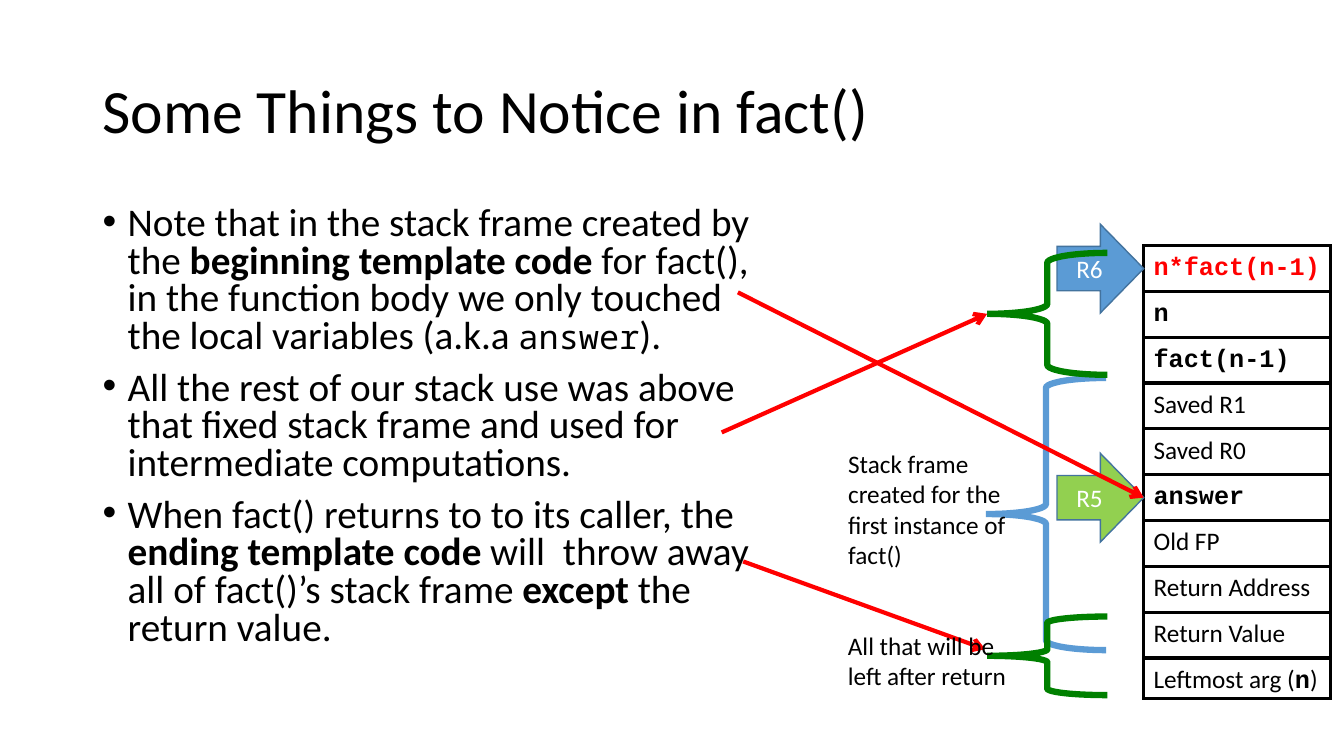
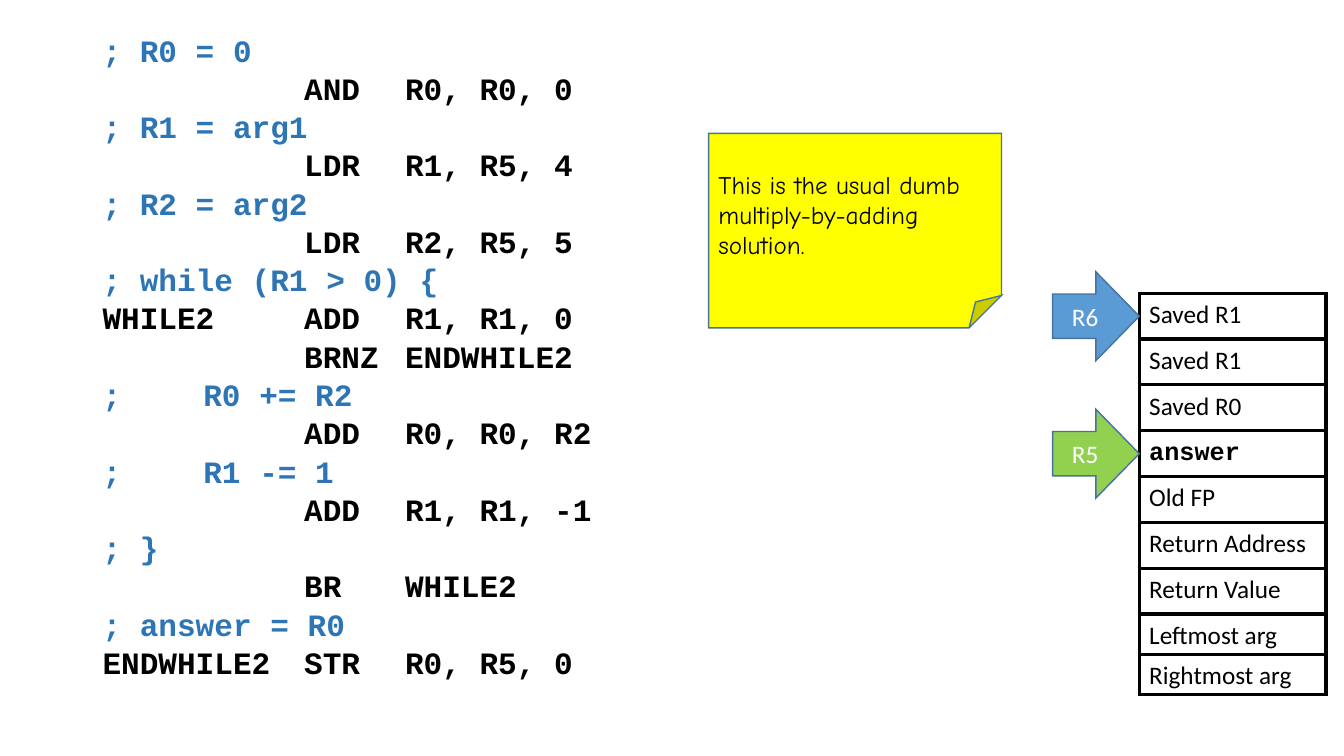
from lxml.etree import SubElement
from pptx import Presentation
from pptx.dml.color import RGBColor
from pptx.enum.shapes import MSO_CONNECTOR as Link, MSO_SHAPE as Preset
from pptx.enum.text import MSO_ANCHOR as Anchor, MSO_AUTO_SIZE as AutoSize, PP_ALIGN as Align
from pptx.oxml.ns import qn
from pptx.util import Emu, Inches, Pt

WIDTH, HEIGHT = Inches(13.33), Inches(7.5)
BLACK, WHITE, RED, GREEN = "000000", "FFFFFF", "FF0000", "008000"
BLUE, LIME, YELLOW = "5B9BD5", "92D050", "FFFF00"
COMMENT, OUTLINE = "2E75B6", "43739E"
SANS, MONO, CODE, HAND = "Calibri", "Courier New", "Noto Sans Mono", "Comic Neue"

TITLE_BOX = (6.88, 5.33, 86.27, 19.33)
STACK_WIDTH, ROW, SHORT_ROW = 13.9, 6.06, 5.33
POINTER_WIDTH, POINTER_HEIGHT = 6.45, 11.73
POINTER_FILLS = {"R6": BLUE, "R5": LIME}

POINTS = [
    [("Note that in the stack frame created by the ", ""),
     ("beginning template code ", "bold"),
     ("for fact(), in the function body we only touched the local variables (a.k.a ", ""),
     ("answer", "code"), (").", "")],
    [("All the rest of our stack use was above that fixed stack frame "
      "and used for intermediate computations.", "")],
    [("When fact() returns to to its caller, the ", ""),
     ("ending template code ", "bold"),
     ("will  throw away all of fact()’s stack frame ", ""),
     ("except", "bold"), (" the return value.", "")],
]
FRAME_BASE = ["Old FP", "Return Address", "Return Value"]
FACT_STACK = ["n*fact(n-1)", "n", "fact(n-1)", "Saved R1", "Saved R0", "answer",
              *FRAME_BASE, "Leftmost arg (n)"]
MULTIPLY_STACK = ["Saved R1", "Saved R1", "Saved R0", "answer",
                  *FRAME_BASE, "Leftmost arg", "Rightmost arg"]
MULTIPLY_CODE = [
    "; R0 = 0",
    "\t\tAND\tR0, R0, 0",
    "; R1 = arg1",
    "\t\tLDR\tR1, R5, 4",
    "; R2 = arg2",
    "\t\tLDR\tR2, R5, 5",
    "; while (R1 > 0) {",
    "WHILE2\tADD\tR1, R1, 0",
    "\t\tBRNZ\tENDWHILE2",
    ";\tR0 += R2",
    "\t\tADD\tR0, R0, R2",
    ";\tR1 -= 1",
    "\t\tADD\tR1, R1, -1",
    "; }",
    "\t\tBR\tWHILE2",
    "; answer = R0",
    "ENDWHILE2\tSTR\tR0, R5, 0",
]


def across(share):
    return Emu(round(WIDTH * share / 100))


def down(share):
    return Emu(round(HEIGHT * share / 100))


def spot(box):
    left, top, width, height = box
    return across(left), down(top), across(width), down(height)


def color(hex_code):
    return RGBColor.from_string(hex_code)


def style(run, size=18, font=SANS, ink=BLACK, bold=False):
    run.font.size, run.font.name, run.font.bold = Pt(size), font, bold
    run.font.color.rgb = color(ink)


def style_all(frame, **look):
    for paragraph in frame.paragraphs:
        for run in paragraph.runs:
            style(run, **look)


def move(placeholder, box):
    (placeholder.left, placeholder.top,
     placeholder.width, placeholder.height) = spot(box)
    placeholder.text_frame.auto_size = AutoSize.NONE
    return placeholder.text_frame


def preset(slide, kind, box, fill=None, line=OUTLINE, weight=1):
    shape = slide.shapes.add_shape(kind, *spot(box))
    shape.shadow.inherit = False
    if fill:
        shape.fill.solid()
        shape.fill.fore_color.rgb = color(fill)
    else:
        shape.fill.background()
    shape.line.color.rgb = color(line)
    shape.line.width = Pt(weight)
    SubElement(shape.line._get_or_add_ln(), qn("a:miter")).set("lim", "800000")
    return shape


def label(shape, text, align=Align.LEFT, anchor=Anchor.MIDDLE, **look):
    frame = shape.text_frame
    frame.text = text
    frame.vertical_anchor = anchor
    frame.paragraphs[0].alignment = align
    style_all(frame, **look)
    return frame


def title(slide, text):
    frame = move(slide.shapes.title, TITLE_BOX)
    frame.text = text
    frame.vertical_anchor = Anchor.MIDDLE
    heading = frame.paragraphs[0]
    heading.alignment, heading.line_spacing = Align.LEFT, 0.9
    style_all(frame, size=44)


def bullet_list(slide, box, points):
    frame = move(slide.placeholders[1], box)
    looks = {"": {"size": 28}, "bold": {"size": 28, "bold": True},
             "code": {"size": 24, "font": CODE}}
    for index, point in enumerate(points):
        paragraph = frame.paragraphs[0] if index == 0 else frame.add_paragraph()
        paragraph.line_spacing, paragraph.space_before = 0.8, Pt(10)
        properties = paragraph._p.get_or_add_pPr()
        properties.set("marL", str(Inches(0.25)))
        properties.set("indent", str(Inches(-0.25)))
        SubElement(properties, qn("a:buChar")).set("char", "•")
        for words, kind in point:
            run = paragraph.add_run()
            run.text = words
            style(run, **looks[kind])


def code_listing(slide, box, lines):
    frame = move(slide.placeholders[1], box)
    frame.text = "\n".join(lines)
    for paragraph in frame.paragraphs:
        paragraph.line_spacing, paragraph.space_before = 0.8, Pt(6)
        properties = paragraph._p.get_or_add_pPr()
        properties.set("marL", "0")
        properties.set("indent", "0")
        properties.set("defTabSz", str(Inches(1)))
        SubElement(properties, qn("a:buNone"))
        ink = COMMENT if paragraph.text.startswith(";") else BLACK
        for run in paragraph.runs:
            style(run, 22.2, MONO, ink, True)


def stack_cell(slide, box, text):
    cell = preset(slide, Preset.RECTANGLE, box, line=BLACK, weight=2.25)
    is_code = text in ("n", "answer") or text.endswith("fact(n-1)")
    frame = label(cell, text, anchor=Anchor.TOP, font=MONO if is_code else SANS,
                  ink=RED if text.startswith("n*") else BLACK, bold=is_code)
    frame.word_wrap = False
    if text.endswith("(n)"):
        paragraph = frame.paragraphs[0]
        paragraph.runs[0].text = text[:-2]
        for words, look in (("n", {"font": MONO, "bold": True}), (")", {})):
            run = paragraph.add_run()
            run.text = words
            style(run, **look)
    return cell


def stack(slide, left, top, labels, pointers):
    cells, middles = [], []
    for text in labels:
        height = SHORT_ROW if "arg" in text else ROW
        cells.append(stack_cell(slide, (left, top, STACK_WIDTH, height), text))
        middles.append(top + height / 2)
        top += height
    for register, row in pointers.items():
        box = (left - POINTER_WIDTH, middles[row] - POINTER_HEIGHT / 2,
               POINTER_WIDTH, POINTER_HEIGHT)
        pointer = preset(slide, Preset.RIGHT_ARROW, box, POINTER_FILLS[register])
        label(pointer, register, Align.CENTER, ink=WHITE)
    return cells


def brace(slide, box, ink):
    return preset(slide, Preset.LEFT_BRACE, box, line=ink, weight=4.5)


def caption(slide, box, text):
    note = slide.shapes.add_textbox(*spot(box))
    label(note, text, anchor=Anchor.TOP).word_wrap = True


def red_arrow(slide, start, end, target=None):
    arrow = slide.shapes.add_connector(
        Link.STRAIGHT, across(start[0]), down(start[1]), across(end[0]), down(end[1]))
    if target is not None:
        arrow.end_connect(target, 1)
    arrow.line.color.rgb = color(RED)
    arrow.line.width = Pt(3)
    SubElement(arrow.line._get_or_add_ln(), qn("a:tailEnd")).set("type", "arrow")
    SubElement(arrow._element.spPr, qn("a:effectLst"))


def fact_slide(slide):
    title(slide, "Some Things to Notice in fact()")
    bullet_list(slide, (6.88, 26.65, 50.5, 63.47), POINTS)
    cells = stack(slide, 85.1, 32.5, FACT_STACK, {"R5": 5, "R6": 0})
    brace(slide, (73.35, 50, 8.95, 36), BLUE)
    caption(slide, (62.37, 58.67, 13.6, 17.47),
            "Stack frame created for the first instance of fact()")
    red_arrow(slide, (54.9, 38.67), (85.1, 65.6), cells[5])
    temporaries = brace(slide, (73.45, 33.45, 8.95, 16.13), GREEN)
    red_arrow(slide, (53.7, 57.2), (73.45, 41.5), temporaries)
    brace(slide, (73.45, 81.55, 8.95, 10.4), GREEN)
    red_arrow(slide, (55.3, 74.27), (73.3, 85.87))
    caption(slide, (62.35, 82.75, 13.6, 9.47), "All that will be left after return")


def multiply_slide(slide):
    heading = slide.shapes.title._element
    heading.getparent().remove(heading)
    code_listing(slide, (6.88, 4.4, 79.8, 91.73), MULTIPLY_CODE)
    stack(slide, 84.77, 38.8, MULTIPLY_STACK, {"R5": 3, "R6": 0})
    sticky = preset(slide, Preset.FOLDED_CORNER, (52.72, 17.65, 21.8, 25.73), YELLOW)
    label(sticky, "This is the usual dumb multiply-by-adding solution.", font=HAND)


def main():
    deck = Presentation()
    deck.slide_width, deck.slide_height = WIDTH, HEIGHT
    for build in (fact_slide, multiply_slide):
        build(deck.slides.add_slide(deck.slide_layouts[1]))
    deck.save("out.pptx")


if __name__ == "__main__":
    main()
